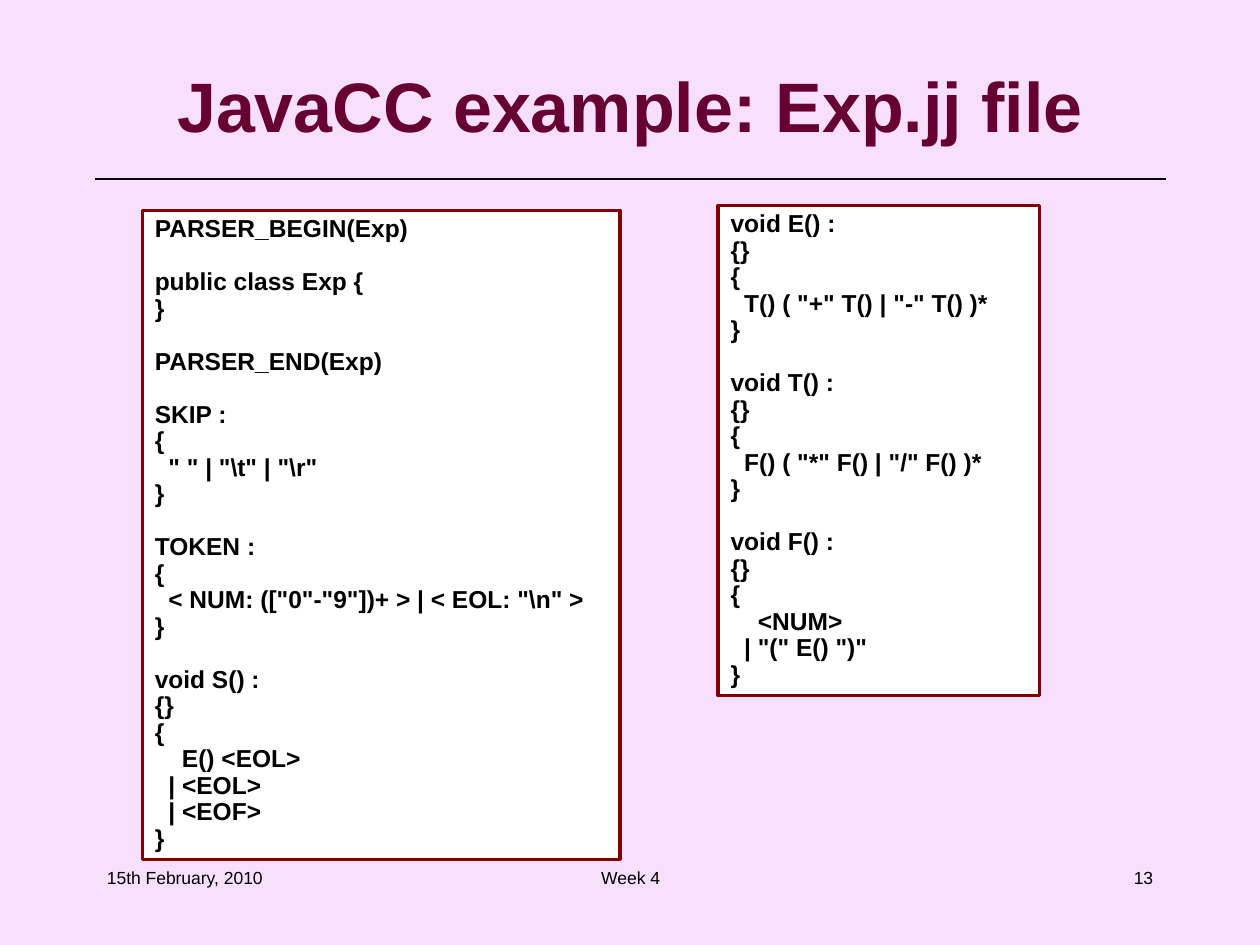
from lxml import etree
from pptx import Presentation
from pptx.dml.color import RGBColor
from pptx.enum.shapes import MSO_CONNECTOR, MSO_SHAPE
from pptx.enum.text import MSO_ANCHOR, PP_ALIGN
from pptx.oxml.ns import qn
from pptx.util import Inches, Pt

LEFT, CENTER, RIGHT = PP_ALIGN.LEFT, PP_ALIGN.CENTER, PP_ALIGN.RIGHT
TOP, MIDDLE = MSO_ANCHOR.TOP, MSO_ANCHOR.MIDDLE
RECTANGLE, STRAIGHT = MSO_SHAPE.RECTANGLE, MSO_CONNECTOR.STRAIGHT

LILAC = RGBColor(0xF7, 0xDF, 0xFD)
PLUM = RGBColor(0x66, 0x00, 0x33)
MAROON = RGBColor(0x80, 0x00, 0x00)
BLACK = RGBColor(0, 0, 0)
WHITE = RGBColor(0xFF, 0xFF, 0xFF)

FONT = "Arial"
CODE_SIZE = 14
CODE_SPACING = 0.9
CODE_GAP = Pt(15.15)  # one code line between blocks

# Each string is one block of grammar code
LEFT_BLOCKS = [
    "PARSER_BEGIN(Exp)",
    "public class Exp {\n}",
    "PARSER_END(Exp)",
    'SKIP :\n{\n  " " | "\\t" | "\\r"\n}',
    'TOKEN :\n{\n  < NUM: (["0"-"9"])+ > | < EOL: "\\n" >\n}',
    "void S() :\n{}\n{\n    E() <EOL>\n  | <EOL>\n  | <EOF>\n}",
]
RIGHT_BLOCKS = [
    'void E() :\n{}\n{\n  T() ( "+" T() | "-" T() )*\n}',
    'void T() :\n{}\n{\n  F() ( "*" F() | "/" F() )*\n}',
    'void F() :\n{}\n{\n    <NUM>\n  | "(" E() ")"\n}',
]


class SlideBuilder:
    def __init__(self, slide):
        self.slide = slide

    def background(self, color):
        fill = self.slide.background.fill
        fill.solid()
        fill.fore_color.rgb = color

    def add_run(self, paragraph, text, size, color=BLACK, bold=False):
        run = paragraph.add_run()
        run.text = text
        run.font.name = FONT
        run.font.size = Pt(size)
        run.font.bold = bold
        run.font.color.rgb = color

    def label(self, left, top, width, height, text, size, align,
              color=BLACK, bold=False, anchor=TOP):
        shape = self.slide.shapes.add_textbox(
            Inches(left), Inches(top), Inches(width), Inches(height))
        frame = shape.text_frame
        frame.word_wrap = True
        frame.vertical_anchor = anchor
        paragraph = frame.paragraphs[0]
        paragraph.alignment = align
        self.add_run(paragraph, text, size, color, bold)

    def rule(self, left, right, y):
        line = self.slide.shapes.add_connector(
            STRAIGHT, Inches(left), Inches(y), Inches(right), Inches(y))
        line.line.color.rgb = BLACK
        line.line.width = Pt(0.75)
        etree.SubElement(line._element.spPr, qn("a:effectLst"))

    def code_box(self, left, top, width, height, blocks):
        shape = self.slide.shapes.add_shape(
            RECTANGLE, Inches(left), Inches(top), Inches(width), Inches(height))
        shape.shadow.inherit = False
        shape.fill.solid()
        shape.fill.fore_color.rgb = WHITE
        shape.line.color.rgb = MAROON
        shape.line.width = Pt(2)
        frame = shape.text_frame
        frame.word_wrap = True
        frame.vertical_anchor = TOP
        paragraph = frame.paragraphs[0]
        for block_index, block in enumerate(blocks):
            for line_index, text in enumerate(block.split("\n")):
                if block_index or line_index:
                    paragraph = frame.add_paragraph()
                paragraph.alignment = LEFT
                paragraph.line_spacing = CODE_SPACING
                if block_index and line_index == 0:
                    paragraph.space_before = CODE_GAP
                self.add_run(paragraph, text, CODE_SIZE, bold=True)


def main():
    presentation = Presentation()
    presentation.slide_width = Inches(10)
    presentation.slide_height = Inches(7.5)
    slide = presentation.slides.add_slide(presentation.slide_layouts[6])
    builder = SlideBuilder(slide)
    builder.background(LILAC)

    # Title and rule
    builder.rule(0.75, 9.25, 1.42)
    builder.label(0.5, 0.33, 9, 1, "JavaCC example: Exp.jj file", 40, CENTER,
                  PLUM, True, MIDDLE)

    # Grammar code
    builder.code_box(1.13, 1.67, 3.79, 5.15, LEFT_BLOCKS)
    builder.code_box(5.7, 1.63, 2.55, 3.89, RIGHT_BLOCKS)

    # Footer
    for left, width, text, align in [
        (0.75, 2.08, "15th February, 2010", LEFT),
        (3.42, 3.17, "Week 4", CENTER),
        (7.17, 2.08, "13", RIGHT),
    ]:
        builder.label(left, 6.83, width, 0.5, text, 10, align)

    presentation.save("out.pptx")


if __name__ == "__main__":
    main()
